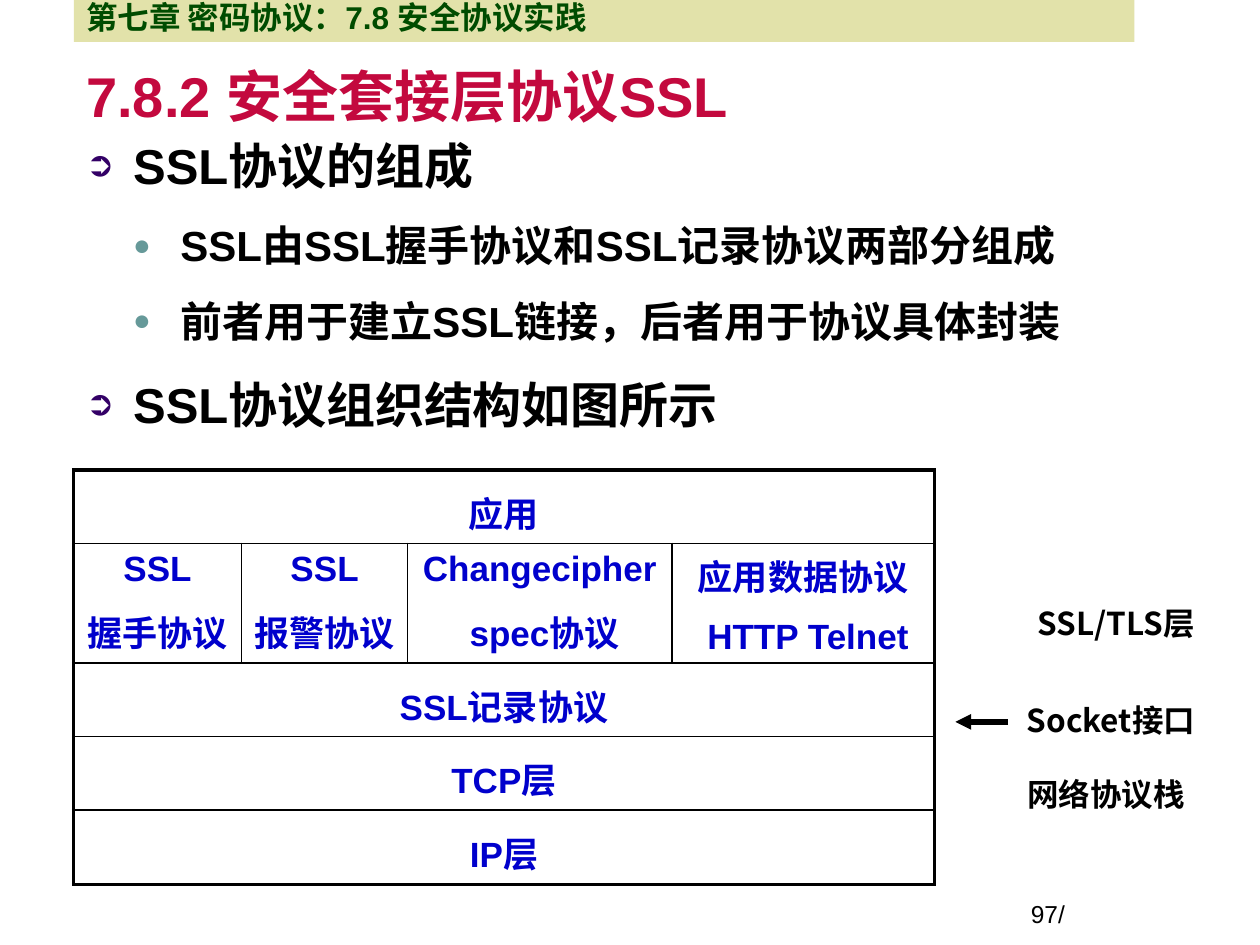
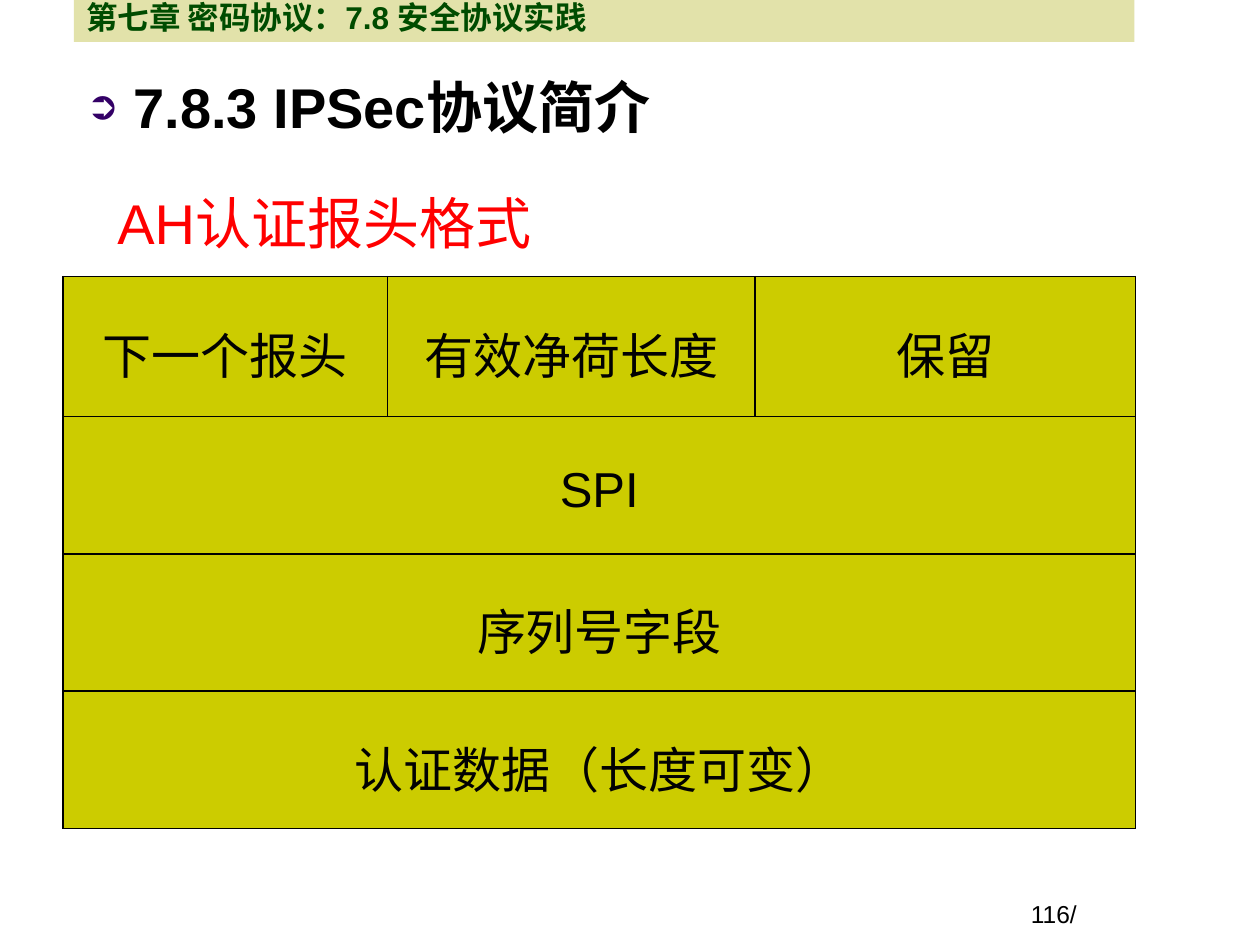
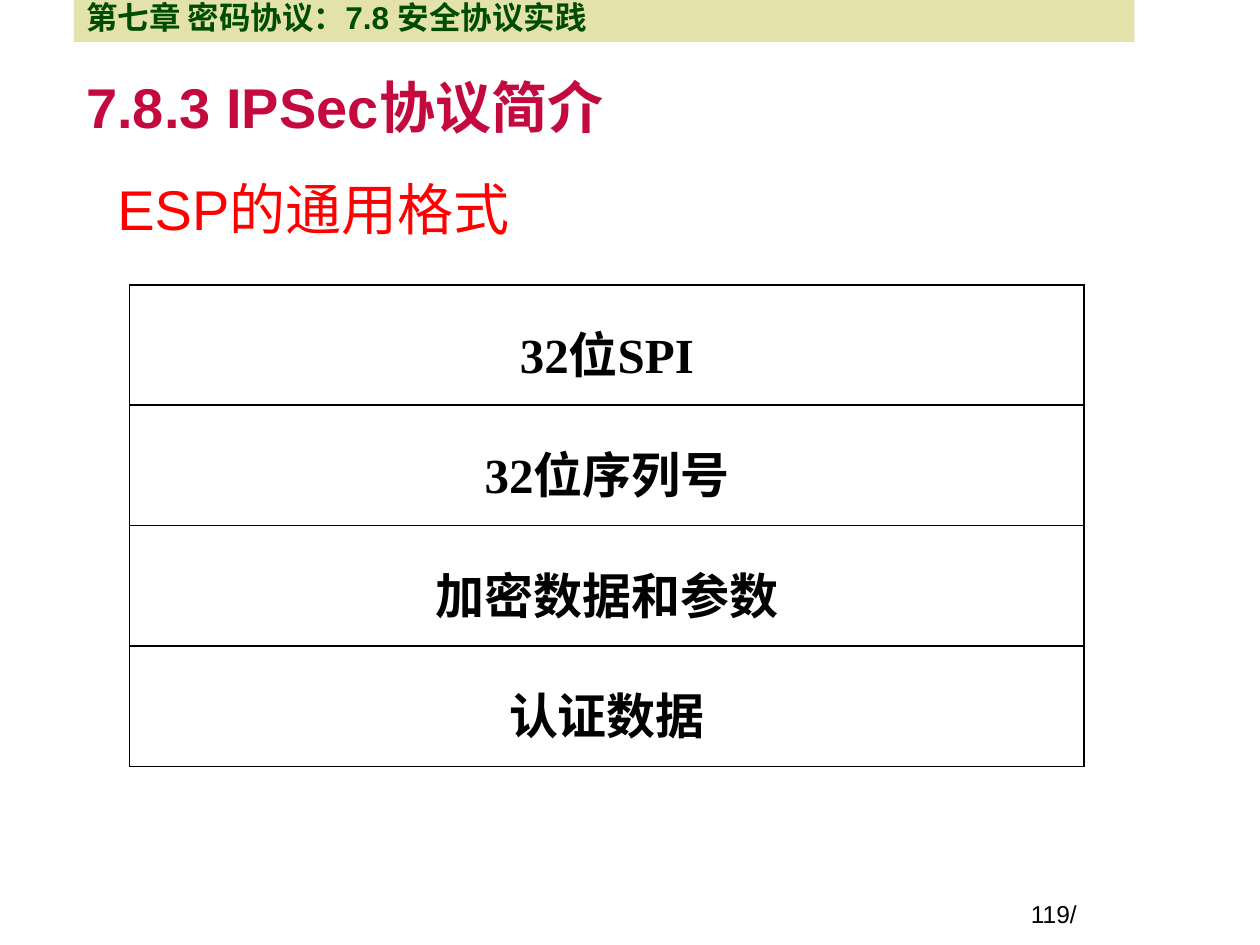
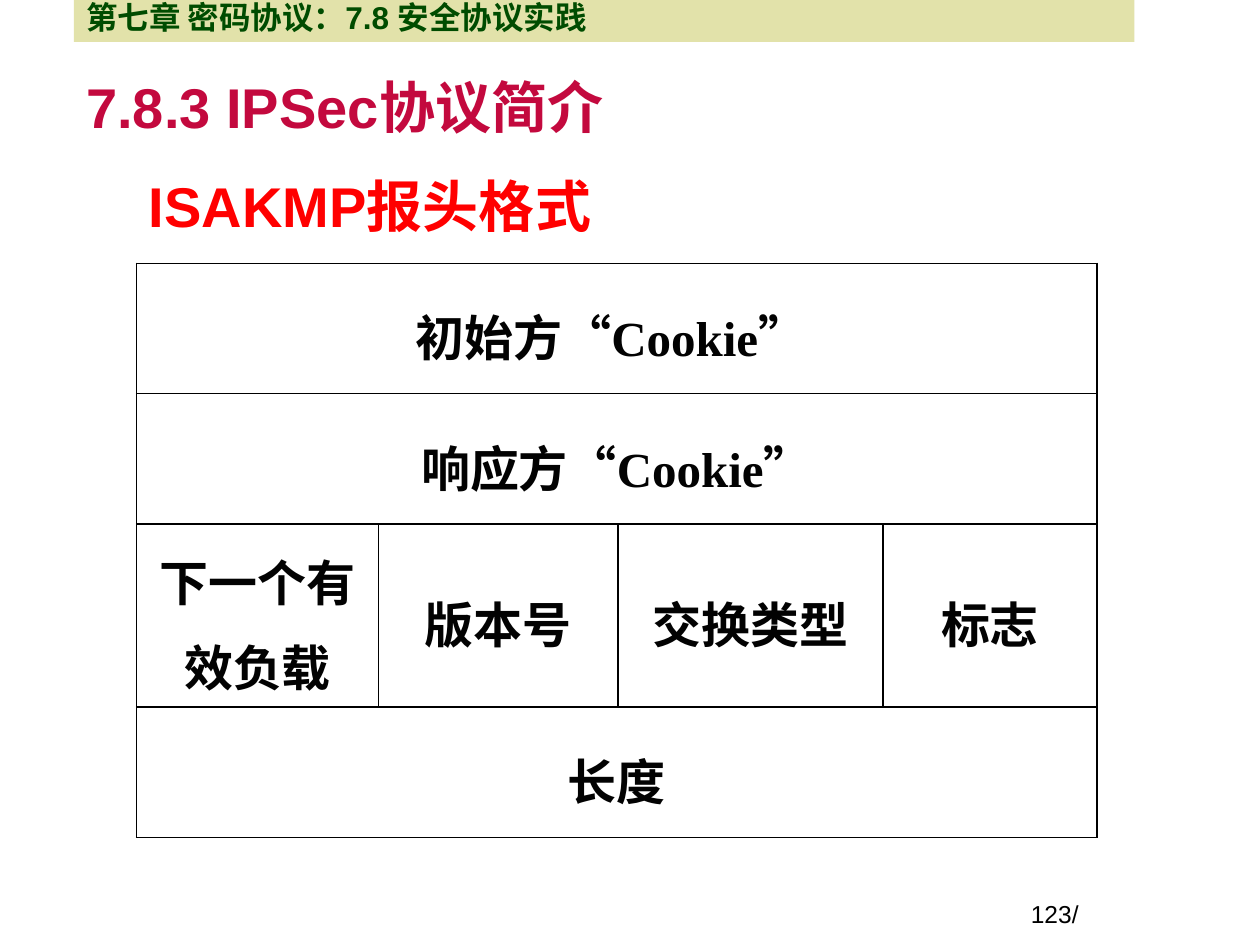
import itertools

from lxml import etree
from pptx import Presentation
from pptx import util as u
from pptx.dml.color import RGBColor
from pptx.enum import shapes, text
from pptx.oxml import ns

COLORS = {
    "black": "000000",
    "ink": "020202",
    "white": "FFFFFF",
    "band": "E2E2AA",
    "chapter": "004C00",
    "title": "C3093E",
    "subtitle": "FF0000",
    "layer": "0000CC",
    "header_cell": "CCCC00",
    "arrow_bullet": "330066",
    "dot_bullet": "669999",
}
CJK = "Noto Sans CJK SC"
CHAPTER = "第七章 密码协议：7.8 安全协议实践"
IPSEC = "7.8.3 IPSec协议简介"
BULLETS = [("➲", "arrow_bullet"), ("●", "dot_bullet")]
INDENT = 27
TITLE_BOX = (42.25, 30, 606, 42)
ANCHOR = text.MSO_ANCHOR
ALIGN = text.PP_ALIGN


def color(name):
    """Return the named colour."""
    return RGBColor.from_string(COLORS[name])


def child(parent, tag, **attributes):
    """Append a drawing element to a parent."""
    return etree.SubElement(parent, ns.qn(tag), attributes)


def points(box):
    """Turn a box of numbers into lengths."""
    return [u.Pt(value) for value in box]


def add_bullet(para, level):
    """Give a paragraph the bullet of its level."""
    mark, tint = BULLETS[level]
    para.level = level
    props = para._p.get_or_add_pPr()
    child(child(props, "a:buClr"), "a:srgbClr", val=COLORS[tint])
    child(props, "a:buSzPct", val="70000")
    child(props, "a:buFont", typeface="Arial")
    child(props, "a:buChar", char=mark)


def write(frame, content, size=18, font="Arial", tint="black", bold=False,
          align=ALIGN.LEFT, anchor=ANCHOR.TOP, spacing=None, before=0, after=0,
          hanging=False, level=None, more=False):
    """Write lines of text into a frame, or add them below its text."""
    frame.word_wrap = True
    frame.vertical_anchor = anchor
    for number, line in enumerate(content.split("\n")):
        first = number == 0 and not more
        para = frame.paragraphs[0] if first else frame.add_paragraph()
        para.alignment = align
        para.line_spacing = spacing
        para.space_before = u.Pt(0 if first else round(before * size, 1))
        para.space_after = u.Pt(round(after * size, 1))
        if level is not None:
            add_bullet(para, level)
        if hanging:
            props = para._p.get_or_add_pPr()
            props.set("marL", str(u.Pt(INDENT * ((level or 0) + 1))))
            props.set("indent", str(-u.Pt(INDENT)))
        for quoted, letters in itertools.groupby(line, lambda letter: letter in "“”"):
            span = para.add_run()
            span.text = "".join(letters)
            span.font.size = u.Pt(size)
            span.font.bold = bold
            span.font.color.rgb = color(tint)
            span.font.name = CJK if quoted else font
            child(span._r.get_or_add_rPr(), "a:ea", typeface=CJK)


def add_text(page, box, content, **style):
    """Add a text box and return its frame."""
    frame = page.shapes.add_textbox(*points(box)).text_frame
    write(frame, content, **style)
    return frame


def add_title(page, content, box=TITLE_BOX, tint="title", **style):
    """Add the section title."""
    add_text(page, box, content, size=32, bold=True, tint=tint,
             spacing=1.2, after=0.1, **style)


def add_subtitle(page, left, top, content, bold=False):
    """Add the red name of a header format."""
    add_text(page, (left, top, 572, 54), content, size=32, bold=bold,
             tint="subtitle", anchor=ANCHOR.MIDDLE)


def add_frame(page, number):
    """Add the chapter band and the page number."""
    band = page.shapes.add_shape(shapes.MSO_SHAPE.RECTANGLE, *points((42.25, 0, 606, 24)))
    band.shadow.inherit = False
    band.fill.solid()
    band.fill.fore_color.rgb = color("band")
    band.line.fill.background()
    write(band.text_frame, CHAPTER, bold=True, tint="chapter", anchor=ANCHOR.BOTTOM)
    add_text(page, (582, 510, 102, 24), f"{number}/", size=14)


def style_cell(cell, widths, fill):
    """Draw the four borders of a cell, then its fill."""
    props = cell._tc.get_or_add_tcPr()
    for side, width in zip("LRTB", widths):
        line = child(props, f"a:ln{side}", w=str(u.Pt(width)))
        child(child(line, "a:solidFill"), "a:srgbClr", val=COLORS["black"])
    if fill:
        cell.fill.solid()
        cell.fill.fore_color.rgb = color(fill)
    else:
        cell.fill.background()


def add_layers(page, left, top, columns, heights, rows, fill=None, outer=1,
               split_style=None, **style):
    """Add a table in which a row with one entry spans all columns."""
    box = points((left, top, sum(columns), sum(heights)))
    table = page.shapes.add_table(len(rows), len(columns), *box).table
    table.first_row = table.horz_banding = False
    for column, width in zip(table.columns, columns):
        column.width = u.Pt(width)
    last_row, last_column = len(rows) - 1, len(columns) - 1
    for y, entries in enumerate(rows):
        table.rows[y].height = u.Pt(heights[y])
        whole = len(entries) == 1
        for x in range(len(columns)):
            edges = (whole or x == 0, whole or x == last_column, y == 0, y == last_row)
            style_cell(table.cell(y, x), [outer if edge else 1 for edge in edges], fill)
        if whole and last_column:
            table.cell(y, 0).merge(table.cell(y, last_column))
        extra = {} if whole else split_style or {}
        for x, entry in enumerate(entries):
            cell = table.cell(y, x)
            write(cell.text_frame, entry, align=ALIGN.CENTER, after=0.1,
                  **{"spacing": 1.2, **style, **extra})
            cell.vertical_anchor = style.get("anchor", ANCHOR.TOP)


def add_label(page, left, top, width, content):
    """Add a right-aligned label beside the layers."""
    frame = add_text(page, (left, top, width, 29), content, font=CJK, bold=True,
                     align=ALIGN.RIGHT, anchor=ANCHOR.BOTTOM)
    frame.auto_size = text.MSO_AUTO_SIZE.SHAPE_TO_FIT_TEXT


def add_arrow(page, start, end, y):
    """Add a horizontal arrow."""
    arrow = page.shapes.add_connector(shapes.MSO_CONNECTOR.STRAIGHT,
                                      *points((start, y, end, y)))
    arrow.line.width = u.Pt(3)
    arrow.line.color.rgb = color("black")
    child(arrow.line._get_or_add_ln(), "a:tailEnd", type="triangle")
    child(arrow._element.spPr, "a:effectLst")


def build_ssl(page):
    """Build the page on the parts and layers of SSL."""
    points_made = [
        (0, "SSL协议的组成"),
        (1, "SSL由SSL握手协议和SSL记录协议两部分组成"),
        (1, "前者用于建立SSL链接，后者用于协议具体封装"),
        (0, "SSL协议组织结构如图所示"),
    ]
    body = page.shapes.add_textbox(*points((42, 70.5, 630, 168))).text_frame
    for number, (level, line) in enumerate(points_made):
        write(body, line, size=28 - 4 * level, bold=True, spacing=1.1, before=0.4,
              after=0.08, hanging=True, level=level, more=number > 0)
    rows = [
        ["应用"],
        ["SSL\n握手协议", "SSL\n报警协议", "Changecipher\n spec协议",
         "应用数据协议\n HTTP Telnet"],
        ["SSL记录协议"],
        ["TCP层"],
        ["IP层"],
    ]
    add_layers(page, 42, 268.5, [96, 95, 151, 150], [42, 68.5, 42, 42, 42.5], rows,
               outer=2.25, size=20, tint="layer", bold=True,
               split_style={"spacing": 1.0, "before": 0.4})
    add_label(page, 552, 341.5, 138, "SSL/TLS层")
    add_label(page, 570, 397, 120, "Socket接口")
    add_arrow(page, 576, 546, 412.5)
    add_label(page, 546, 439, 138, "网络协议栈")
    add_title(page, "7.8.2 安全套接层协议SSL", box=(42.25, 24, 606, 48))


def build_ah(page):
    """Build the page on the AH header."""
    add_subtitle(page, 60, 100, "AH认证报头格式")
    rows = [["下一个报头", "有效净荷长度", "保留"], ["SPI"], ["序列号字段"],
            ["认证数据（长度可变）"]]
    add_layers(page, 36, 158, [185.5, 210, 217.5], [80] + [78.5] * 3, rows,
               fill="header_cell", size=28, tint="ink", hanging=True,
               anchor=ANCHOR.MIDDLE)
    add_title(page, IPSEC, tint="black", hanging=True, level=0)


def build_plain(page, subtitle, corner, bold, table_corner, columns, heights, rows):
    """Build a page with one white header table."""
    add_subtitle(page, *corner, subtitle, bold=bold)
    add_layers(page, *table_corner, columns, heights, rows, fill="white", size=28,
               font="Times New Roman", tint="ink", bold=True, anchor=ANCHOR.MIDDLE)
    add_title(page, IPSEC)


def build_esp(page):
    """Build the page on the ESP format."""
    rows = [["32位SPI"], ["32位序列号"], ["加密数据和参数"], ["认证数据"]]
    build_plain(page, "ESP的通用格式", (60, 92), False, (74, 162.75), [545.5],
                [68.8] * 4, rows)


def build_isakmp(page):
    """Build the page on the ISAKMP header."""
    rows = [["初始方“Cookie” "], ["响应方“Cookie”"],
            ["下一个有效负载", "版本号", "交换类型", "标志"], ["长度"]]
    build_plain(page, "ISAKMP报头格式", (78, 90), True, (78, 150.5),
                [138.25, 137, 151.25, 122.5], [74.5, 74.5, 104.5, 74.5], rows)


def main():
    """Build the deck and save it."""
    deck = Presentation()
    deck.slide_width, deck.slide_height = points((720, 540))
    pages = [(97, build_ssl), (116, build_ah), (119, build_esp), (123, build_isakmp)]
    for number, build in pages:
        page = deck.slides.add_slide(deck.slide_layouts[6])
        build(page)
        add_frame(page, number)
    deck.save("out.pptx")


if __name__ == "__main__":
    main()
